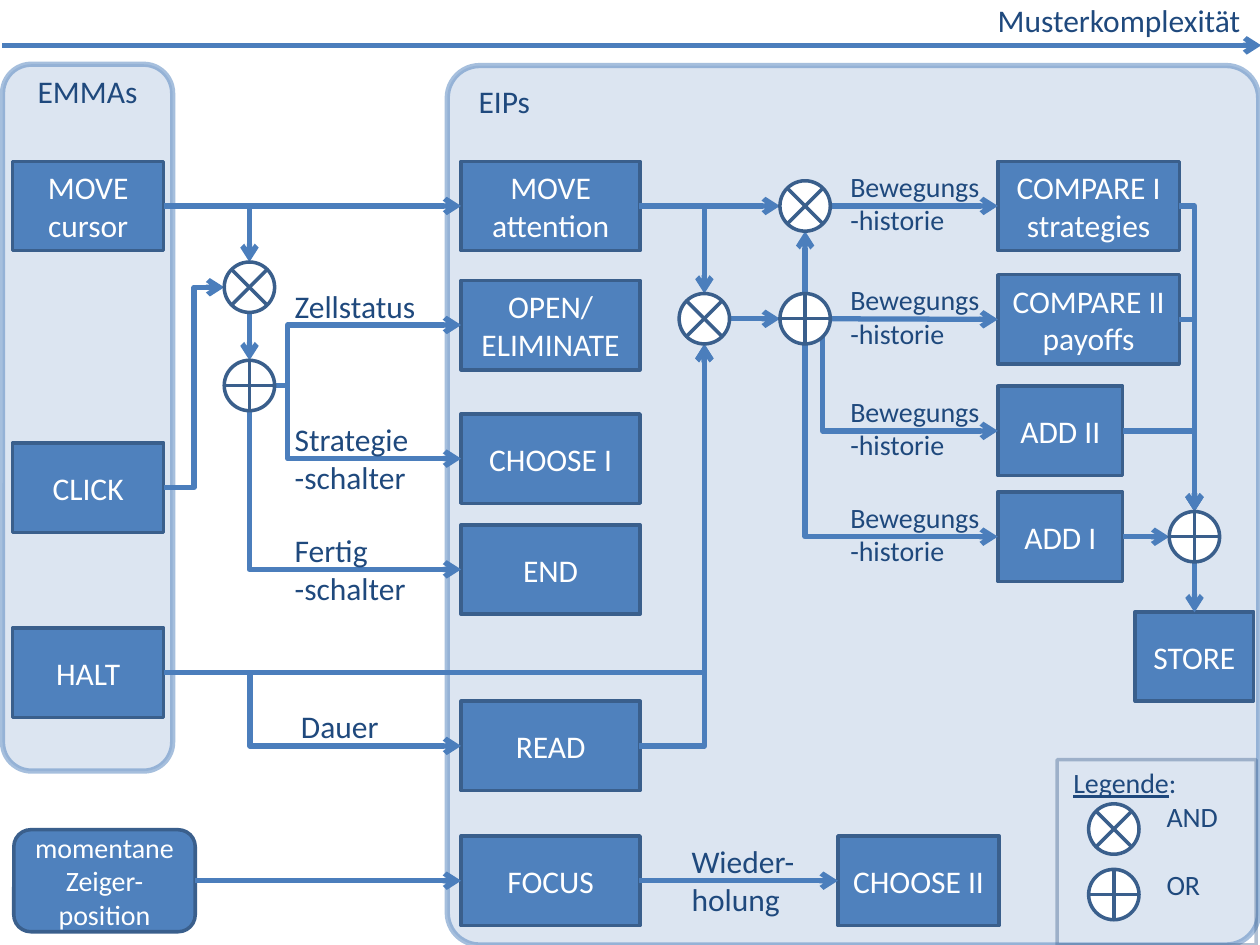
from lxml.etree import SubElement
from pptx import Presentation
from pptx.dml.color import RGBColor
from pptx.enum.shapes import MSO_CONNECTOR, MSO_SHAPE
from pptx.enum.text import MSO_ANCHOR, PP_ALIGN
from pptx.oxml.ns import qn
from pptx.util import Inches, Pt

BLUE, EDGE, WIRE, NAVY, PALE, WHITE = "4F81BD", "3A5F8C", "4B7EBC", "1F497D", "95B3D7", "FFFFFF"
BOX_HEIGHT, RADIUS = 0.71, 0.2
COLUMNS = {"emma": 0.1, "label": 2.24, "eip": 3.66, "history": 6.65, "result": 7.92}
ROWS = {"move": 1.635, "compare": 2.535, "open": 2.58, "add2": 3.42, "choose": 3.64,
        "click": 3.87, "add1": 4.26, "end": 4.52, "store": 5.21, "halt": 5.34,
        "read": 5.92, "focus": 6.99}
GATES = {"first_and": (1.98, 2.28), "first_or": (1.98, 3.06),
         "middle_and": (5.59, 2.53), "middle_or": (6.39, 2.53),
         "upper_and": (6.39, 1.635), "store_or": (9.48, 4.26),
         "legend_and": (8.84, 6.58), "legend_or": (8.84, 7.1)}


def colour(value):
    return RGBColor.from_string(value)


def set_alpha(fill_format, percent):
    node = fill_format._xPr.find(qn("a:solidFill"))[0]
    SubElement(node, qn("a:alpha")).set("val", str(percent * 1000))


def write(frame, text, size=18, ink=NAVY, align=PP_ALIGN.LEFT, anchor=MSO_ANCHOR.TOP):
    frame.word_wrap = True
    frame.vertical_anchor = anchor
    for index, line in enumerate(text.split("\n")):
        para = frame.paragraphs[0] if index == 0 else frame.add_paragraph()
        para.alignment = align
        span = para.add_run()
        span.text = line
        style(span, size, ink)


def style(span, size, ink):
    span.font.name = "Calibri"
    span.font.size = Pt(size)
    span.font.color.rgb = colour(ink)


def add_shape(page, kind, left, top, width, height, fill=BLUE, line=EDGE, weight=2,
              fill_alpha=None, line_alpha=None):
    shape = page.shapes.add_shape(kind, *map(Inches, (left, top, width, height)))
    shape.shadow.inherit = False
    if fill:
        shape.fill.solid()
        shape.fill.fore_color.rgb = colour(fill)
        if fill_alpha:
            set_alpha(shape.fill, fill_alpha)
    else:
        shape.fill.background()
    shape.line.color.rgb = colour(line)
    shape.line.width = Pt(weight)
    if line_alpha:
        set_alpha(shape.line.fill, line_alpha)
    return shape


def add_panel(page, left, top, width, height, rounding):
    panel = add_shape(page, MSO_SHAPE.ROUNDED_RECTANGLE, left, top, width, height,
                      PALE, BLUE, 3, 33, 49)
    panel.adjustments[0] = rounding


def add_box(page, left, row, width, text, kind=MSO_SHAPE.RECTANGLE, height=BOX_HEIGHT, size=18):
    box = add_shape(page, kind, left, ROWS[row] - height / 2, width, height)
    write(box.text_frame, text, size, WHITE, PP_ALIGN.CENTER, MSO_ANCHOR.MIDDLE)


def add_label(page, left, top, width, text, height=0.4, size=18):
    box = page.shapes.add_textbox(*map(Inches, (left, top, width, height)))
    write(box.text_frame, text, size)
    return box


def add_gate(page, name):
    x, y = GATES[name]
    kind = MSO_SHAPE.FLOWCHART_SUMMING_JUNCTION if name.endswith("and") else MSO_SHAPE.FLOWCHART_OR
    add_shape(page, kind, x - RADIUS, y - RADIUS, 2 * RADIUS, 2 * RADIUS, WHITE)


def add_wire(page, start, end, kind=MSO_CONNECTOR.STRAIGHT, arrow="a:tailEnd"):
    wire = page.shapes.add_connector(kind, *map(Inches, (*start, *end)))
    wire.line.color.rgb = colour(WIRE)
    wire.line.width = Pt(3)
    SubElement(wire.line._get_or_add_ln(), qn(arrow)).set("type", "arrow")
    SubElement(wire._element.spPr, qn("a:effectLst"))
    return wire


def add_corner(page, start, end, vertical_first=False):
    ends = (end, start) if vertical_first else (start, end)
    arrow = "a:headEnd" if vertical_first else "a:tailEnd"
    wire = add_wire(page, *ends, MSO_CONNECTOR.ELBOW, arrow)
    wire._element.spPr.find(qn("a:prstGeom")).set("prst", "bentConnector2")


def add_step(page, start, end, share):
    wire = add_wire(page, start, end, MSO_CONNECTOR.ELBOW)
    geometry = wire._element.spPr.find(qn("a:prstGeom"))
    guide = SubElement(geometry.get_or_add_avLst(), qn("a:gd"))
    guide.set("name", "adj1")
    guide.set("fmla", f"val {round(share * 100000)}")


def side(gate, right=0, down=0):
    x, y = GATES[gate]
    return x + right * RADIUS, y + down * RADIUS


def draw_boxes(page):
    emma, eip, result = COLUMNS["emma"], COLUMNS["eip"], COLUMNS["result"]
    for row, text in (("move", "MOVE cursor"), ("click", "CLICK"), ("halt", "HALT")):
        add_box(page, emma, row, 1.2, text)
    for row, text in (("move", "MOVE attention"), ("open", "OPEN/ ELIMINATE"),
                      ("choose", "CHOOSE I"), ("end", "END"), ("read", "READ"),
                      ("focus", "FOCUS")):
        add_box(page, eip, row, 1.42, text)
    for row, width, text in (("move", 1.44, "COMPARE I strategies"),
                             ("compare", 1.44, "COMPARE II payoffs"),
                             ("add2", 0.99, "ADD II"), ("add1", 0.99, "ADD I")):
        add_box(page, result, row, width, text)
    add_box(page, 9.01, "store", 0.94, "STORE")
    add_box(page, 6.65, "focus", 1.28, "CHOOSE II")
    add_box(page, 0.11, "focus", 1.44, "momentane Zeiger-position",
            MSO_SHAPE.ROUNDED_RECTANGLE, 0.81, 16)


def draw_wires(page):
    emma_edge, eip, eip_edge, result = 1.3, COLUMNS["eip"], 5.07, COLUMNS["result"]
    move, halt, focus = ROWS["move"], ROWS["halt"], ROWS["focus"]
    for start, end in (
            ((0.02, 0.36), (10.01, 0.36)),
            ((emma_edge, move), (eip, move)),
            (side("first_and", down=1), side("first_or", down=-1)),
            ((eip_edge, move), side("upper_and", -1)),
            (side("middle_and", 1), side("middle_or", -1)),
            (side("middle_or", down=-1), side("upper_and", down=1)),
            (side("upper_and", 1), (result, move)),
            (side("middle_or", 1), (result, ROWS["compare"])),
            ((1.55, focus), (eip, focus)),
            ((eip_edge, focus), (6.65, focus)),
            ((8.91, ROWS["add1"]), side("store_or", -1)),
            (side("store_or", down=1), (9.48, 4.86))):
        add_wire(page, start, end)
    for start, end in (
            ((emma_edge, move), side("first_and", down=-1)),
            ((eip_edge, move), side("middle_and", down=-1)),
            ((emma_edge, halt), side("middle_and", down=1)),
            ((eip_edge, ROWS["read"]), side("middle_and", down=1)),
            ((8.91, ROWS["add2"]), side("store_or", down=-1)),
            ((9.36, ROWS["compare"]), side("store_or", down=-1)),
            ((9.36, move), side("store_or", down=-1))):
        add_corner(page, start, end)
    for start, end in (
            (side("first_or", down=1), (eip, ROWS["end"])),
            (side("middle_or", 0.7, 0.7), (result, ROWS["add2"])),
            (side("middle_or", down=1), (result, ROWS["add1"]))):
        add_corner(page, start, end, vertical_first=True)
    add_step(page, (emma_edge, ROWS["click"]), side("first_and", -1), 0.5)
    add_step(page, (emma_edge, halt), (eip, ROWS["read"]), 0.29)
    for row in ("open", "choose"):
        add_step(page, side("first_or", 1), (eip, ROWS[row]), 0.07)


def draw_labels(page):
    for row, left, width, text in (
            ("open", COLUMNS["label"], 1.26, "Zellstatus"),
            ("choose", COLUMNS["label"], 1.56, "Strategie\n-schalter"),
            ("end", COLUMNS["label"], 1.3, "Fertig\n-schalter"),
            ("read", 2.29, 1.18, "Dauer"),
            ("focus", 5.39, 1.26, "Wieder-holung")):
        add_label(page, left, ROWS[row] - BOX_HEIGHT / 2, width, text)
    for row in ("move", "compare", "add2", "add1"):
        add_label(page, COLUMNS["history"], ROWS[row] - 0.34, 1.27, "Bewegungs-historie", 0.64, 16)
    add_label(page, 7.82, -0.04, 2.13, "Musterkomplexität")
    add_label(page, 0.2, 0.52, 1.48, "EMMAs")
    add_label(page, 3.7, 0.6, 1.48, "EIPs")


def draw_legend(page):
    add_shape(page, MSO_SHAPE.RECTANGLE, 8.39, 6.03, 1.58, 1.47, None, line_alpha=38)
    box = add_label(page, 8.42, 6.03, 1.56, "Legende\nAND\nOR", 1.47, 16)
    title, *entries = box.text_frame.paragraphs
    title.runs[0].font.underline = True
    colon = title.add_run()
    colon.text = ":"
    style(colon, 16, NAVY)
    for para in entries:
        para._p.get_or_add_pPr().set("marL", str(Inches(0.74)))
    entries[-1].space_before = Pt(19.5)


def main():
    deck = Presentation()
    deck.slide_width, deck.slide_height = Inches(10), Inches(7.5)
    page = deck.slides.add_slide(deck.slide_layouts[6])
    add_panel(page, 3.55, 0.52, 6.44, 6.98, 0.04)
    add_panel(page, 0.02, 0.51, 1.35, 5.61, 0.17)
    draw_boxes(page)
    draw_wires(page)
    for name in GATES:
        add_gate(page, name)
    draw_labels(page)
    draw_legend(page)
    deck.save("out.pptx")


main()
